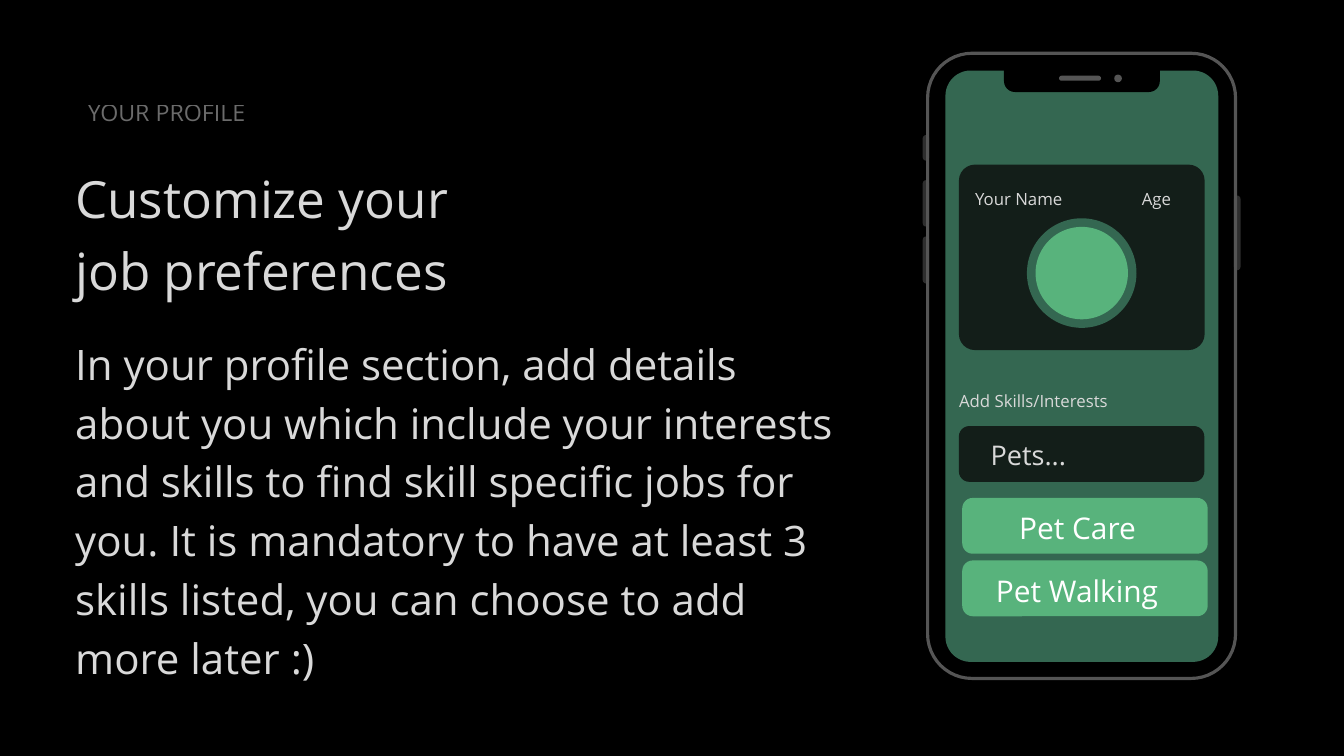
from lxml import etree
from pptx import Presentation
from pptx.dml.color import RGBColor
from pptx.enum.shapes import MSO_SHAPE
from pptx.enum.text import PP_ALIGN
from pptx.oxml.ns import qn
from pptx.util import Pt

ROUNDED = MSO_SHAPE.ROUNDED_RECTANGLE
ROUND_BOTTOM = MSO_SHAPE.ROUND_2_SAME_RECTANGLE
OVAL = MSO_SHAPE.OVAL
LEFT, CENTER = PP_ALIGN.LEFT, PP_ALIGN.CENTER

BLACK = RGBColor(0x00, 0x00, 0x00)
WHITE = RGBColor(0xFF, 0xFF, 0xFF)
LIGHT = RGBColor(0xD9, 0xD9, 0xD9)
GRAY = RGBColor(0x55, 0x55, 0x55)
DARK_GRAY = RGBColor(0x2E, 0x2E, 0x2E)
FOREST = RGBColor(0x34, 0x67, 0x51)
MINT = RGBColor(0x58, 0xB3, 0x7C)
PANEL = RGBColor(0x13, 0x1E, 0x19)

FONT = "Open Sans"
LINE_RATIO = 1.4

# Text: paragraphs, (left, top, width, height), size, colour, alignment
EYEBROW = (["YOUR PROFILE"], (87.8, 100.8, 181.4, 33.8), 24.9, WHITE, CENTER)
HEADING = (["Customize your", "job preferences"],
           (80.6, 168.5, 458, 149.8), 54.9, LIGHT, LEFT)
BODY = (["In your profile section, add details about you which include your "
         "interests and skills to find skill specific jobs for you. It is "
         "mandatory to have at least 3 skills listed, you can choose to add "
         "more later :)"], (80.6, 353.5, 840.2, 375.8), 45, LIGHT, LEFT)
PHONE_LABELS = [
    (["Your Name"], (1044.7, 198.7, 93.6, 23.8), 18, LIGHT, CENTER),
    (["Age"], (1223.3, 198.7, 31.7, 23.8), 18, LIGHT, CENTER),
    (["Add Skills/Interests"], (1027.4, 414.7, 159.8, 23.8), 18, LIGHT, CENTER),
    (["Pets..."], (1059.8, 464.4, 84.2, 38.9), 29, LIGHT, CENTER),
    (["Pet Care"], (1091.5, 540, 126, 42.5), 32, WHITE, CENTER),
    (["Pet Walking"], (1067, 607, 174.2, 42.5), 32, WHITE, CENTER),
]

# Phone geometry
FRAME = (993.9, 57.1, 329.9, 669.8)
FRAME_RADIUS, FRAME_LINE = 47.5, 3.4
SCREEN = (1013, 75.6, 292.3, 633.6)
NOTCH = (1075.7, 75.2, 167, 23.4)
SPEAKER = (1134.7, 81.1, 45, 5.4)
CAMERA = (1193.8, 79.9, 8.2, 8.2)
SIDE_BUTTONS = [  # side, top, height
    ("left", 144.7, 27.4), ("left", 193, 49.7),
    ("left", 253.4, 50.4), ("right", 209.5, 80),
]
BUTTON_WIDTH = 7

PROFILE_CARD = (1027.4, 176.4, 263.3, 198.7)
AVATAR_CENTER = (1159, 292.6)
AVATAR_DISCS = [(117.4, FOREST), (99, MINT)]
SKILL_SIZE = (263, 59.8)
SKILL_FIELDS = [  # left, top, fill
    (1027.4, 456.5, PANEL), (1031, 533.5, MINT), (1031, 600.5, MINT),
]

presentation = Presentation()
presentation.slide_width, presentation.slide_height = Pt(1440), Pt(810)
slide = presentation.slides.add_slide(presentation.slide_layouts[6])
slide.background.fill.solid()
slide.background.fill.fore_color.rgb = BLACK


def add_shape(kind, box, fill=None, radius=None):
    shape = slide.shapes.add_shape(kind, *map(Pt, box))
    shape.shadow.inherit = False
    shape.line.fill.background()
    if fill is None:
        shape.fill.background()
    else:
        shape.fill.solid()
        shape.fill.fore_color.rgb = fill
    if radius is not None:
        ratio = radius / min(box[2:])
        if kind == ROUND_BOTTOM:
            shape.adjustments[0], shape.adjustments[1] = 0, ratio
        else:
            shape.adjustments[0] = ratio
    return shape


def add_text(lines, box, size, color, align, wrap=False):
    frame = slide.shapes.add_textbox(*map(Pt, box)).text_frame
    frame.margin_left = frame.margin_right = 0
    frame.margin_top = frame.margin_bottom = 0
    frame.word_wrap = wrap
    frame.text = "\n".join(lines)
    for paragraph in frame.paragraphs:
        paragraph.alignment = align
        paragraph.line_spacing = Pt(round(size * LINE_RATIO, 1))
        paragraph.font.name = FONT
        paragraph.font.size = Pt(size)
        paragraph.font.color.rgb = color
    return frame


# Phone body: screen, notch, side buttons tucked under the frame line
add_shape(ROUNDED, SCREEN, FOREST, 27)
add_shape(ROUND_BOTTOM, NOTCH, BLACK, 15.5)
add_shape(ROUNDED, SPEAKER, GRAY, SPEAKER[3] / 2)
add_shape(OVAL, CAMERA, GRAY)
for side, top, height in SIDE_BUTTONS:
    edge = FRAME[0] if side == "left" else FRAME[0] + FRAME[2]
    shift = -5.3 if side == "left" else BUTTON_WIDTH - 8.7
    add_shape(ROUNDED, (edge + shift, top, BUTTON_WIDTH, height),
              DARK_GRAY, BUTTON_WIDTH / 2)
phone_frame = add_shape(ROUNDED, FRAME, radius=FRAME_RADIUS)
phone_frame.line.color.rgb = GRAY
phone_frame.line.width = Pt(FRAME_LINE)

# Profile card with avatar
add_shape(ROUNDED, PROFILE_CARD, PANEL, 17.2)
for diameter, color in AVATAR_DISCS:
    corner = [center - diameter / 2 for center in AVATAR_CENTER]
    add_shape(OVAL, (*corner, diameter, diameter), color)

# Skill search field and chosen skills
for left, top, color in SKILL_FIELDS:
    add_shape(ROUNDED, (left, top, *SKILL_SIZE), color, 11.2)

# Text
eyebrow = add_text(*EYEBROW)
eyebrow_color = eyebrow.paragraphs[0]._p.find(".//" + qn("a:srgbClr"))
etree.SubElement(eyebrow_color, qn("a:alpha"), val="42000")
add_text(*HEADING)
add_text(*BODY, wrap=True)
for label in PHONE_LABELS:
    add_text(*label)

presentation.save("out.pptx")
